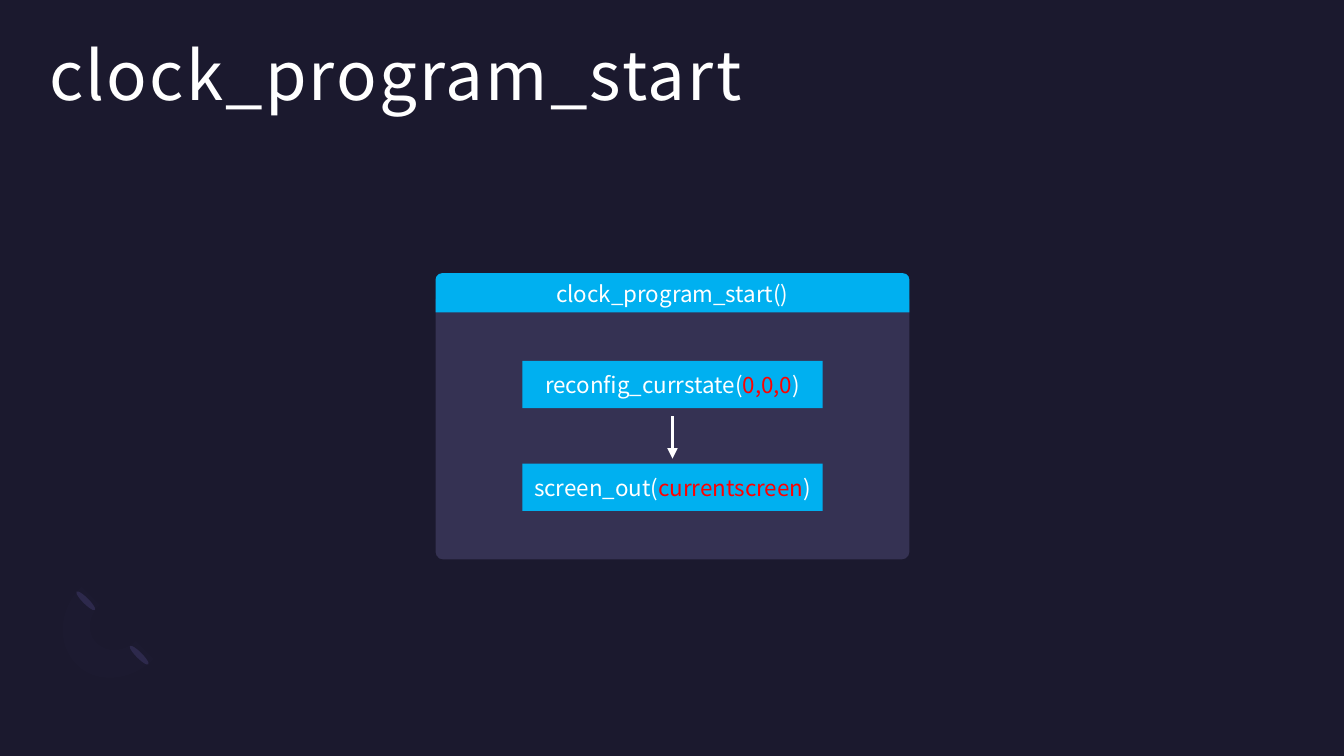
from lxml import etree
from pptx import Presentation
from pptx.dml.color import RGBColor
from pptx.enum import shapes, text
from pptx.oxml.ns import qn
from pptx.util import Inches, Pt

COLORS = {
    "background": "1B192E", "ellipse": "2C284A", "arc": "7771B2",
    "panel": "7872B0", "box": "00B0F0", "text": "FFFFFF", "argument": "FF0000",
}
FONT = "Noto Sans CJK KR"


def paint(shape, color, opacity=100):
    shape.shadow.inherit = False
    shape.line.fill.background()
    shape.fill.solid()
    shape.fill.fore_color.rgb = RGBColor.from_string(COLORS[color])
    if opacity < 100:
        color_node = shape.fill._xPr.find(qn("a:solidFill"))[0]
        etree.SubElement(color_node, qn("a:alpha"), val=str(opacity * 1000))


def write(paragraph, parts, size):
    for wording, color in parts:
        run = paragraph.add_run()
        run.text = wording
        run.font.name = FONT
        run.font.size = Pt(size)
        run.font.color.rgb = RGBColor.from_string(COLORS[color])


presentation = Presentation()
presentation.slide_width, presentation.slide_height = Inches(13.33), Inches(7.5)
slide = presentation.slides.add_slide(presentation.slide_layouts[6])
slide.background.fill.solid()
slide.background.fill.fore_color.rgb = RGBColor.from_string(COLORS["background"])

# Corner ornament: two slanted ellipses joined by a faint arc
for left, top in [(1.35, 6.37), (0.82, 5.83)]:
    ellipse = slide.shapes.add_shape(
        shapes.MSO_SHAPE.OVAL, Inches(left), Inches(top), Inches(0.06), Inches(0.26))
    ellipse.rotation = 135
    paint(ellipse, "ellipse")

outer_curves = [
    [(1.52, 6.54), (1.3, 6.76), (0.95, 6.79), (0.76, 6.59)],
    [(0.76, 6.59), (0.56, 6.39), (0.58, 6.05), (0.81, 5.82)],
]
inner_curves = [
    [(0.99, 6), (0.87, 6.11), (0.86, 6.29), (0.96, 6.38)],
    [(0.96, 6.38), (1.06, 6.48), (1.23, 6.47), (1.35, 6.36)],
]
STEPS = 12
outline = []
for curve in outer_curves + inner_curves:
    for step in range(STEPS + 1):
        t = step / STEPS
        weights = [(1 - t) ** 3, 3 * t * (1 - t) ** 2, 3 * t ** 2 * (1 - t), t ** 3]
        outline.append(tuple(
            Inches(sum(w * point[axis] for w, point in zip(weights, curve)))
            for axis in (0, 1)))
builder = slide.shapes.build_freeform(*outline[0])
builder.add_line_segments(outline[1:], close=True)
paint(builder.convert_to_shape(), "arc", 2)

# Panel
panel = slide.shapes.add_shape(
    shapes.MSO_SHAPE.ROUNDED_RECTANGLE, Inches(4.32), Inches(2.9), Inches(4.7), Inches(2.65))
panel.adjustments[0] = 0.029
paint(panel, "panel", 29)

# Title
title = slide.shapes.add_textbox(Inches(0.39), Inches(0.2), Inches(12.13), Inches(1.46))
title.text_frame.word_wrap = True
paragraph = title.text_frame.paragraphs[0]
paragraph.line_spacing = 1.1
write(paragraph, [("clock_program_start", "text")], 48)
paragraph.runs[0].font._element.set("spc", "160")

# Panel header and the two steps
RECTANGLE = shapes.MSO_SHAPE.RECTANGLE
HEADER = shapes.MSO_SHAPE.ROUND_2_SAME_RECTANGLE
boxes = [
    (HEADER, 4.32, 2.71, 4.7, 0.39, [("clock_program_start()", "text")]),
    (RECTANGLE, 5.18, 3.58, 2.98, 0.47,
     [("reconfig_currstate(", "text"), ("0,0,0", "argument"), (")", "text")]),
    (RECTANGLE, 5.18, 4.6, 2.98, 0.47,
     [("screen_out(", "text"), ("currentscreen", "argument"), (")", "text")]),
]
for kind, left, top, width, height, parts in boxes:
    box = slide.shapes.add_shape(
        kind, Inches(left), Inches(top), Inches(width), Inches(height))
    paint(box, "box")
    box.text_frame.word_wrap = False
    box.text_frame.vertical_anchor = text.MSO_ANCHOR.MIDDLE
    paragraph = box.text_frame.paragraphs[0]
    paragraph.alignment = text.PP_ALIGN.CENTER
    write(paragraph, parts, 16)

# Arrow between the steps
arrow = slide.shapes.add_connector(
    shapes.MSO_CONNECTOR.STRAIGHT, Inches(6.67), Inches(4.13), Inches(6.67), Inches(4.55))
arrow.line.color.rgb = RGBColor.from_string(COLORS["text"])
arrow.line.width = Pt(2.5)
etree.SubElement(arrow.line._get_or_add_ln(), qn("a:tailEnd"), type="triangle")
etree.SubElement(arrow._element.spPr, qn("a:effectLst"))

presentation.save("out.pptx")
